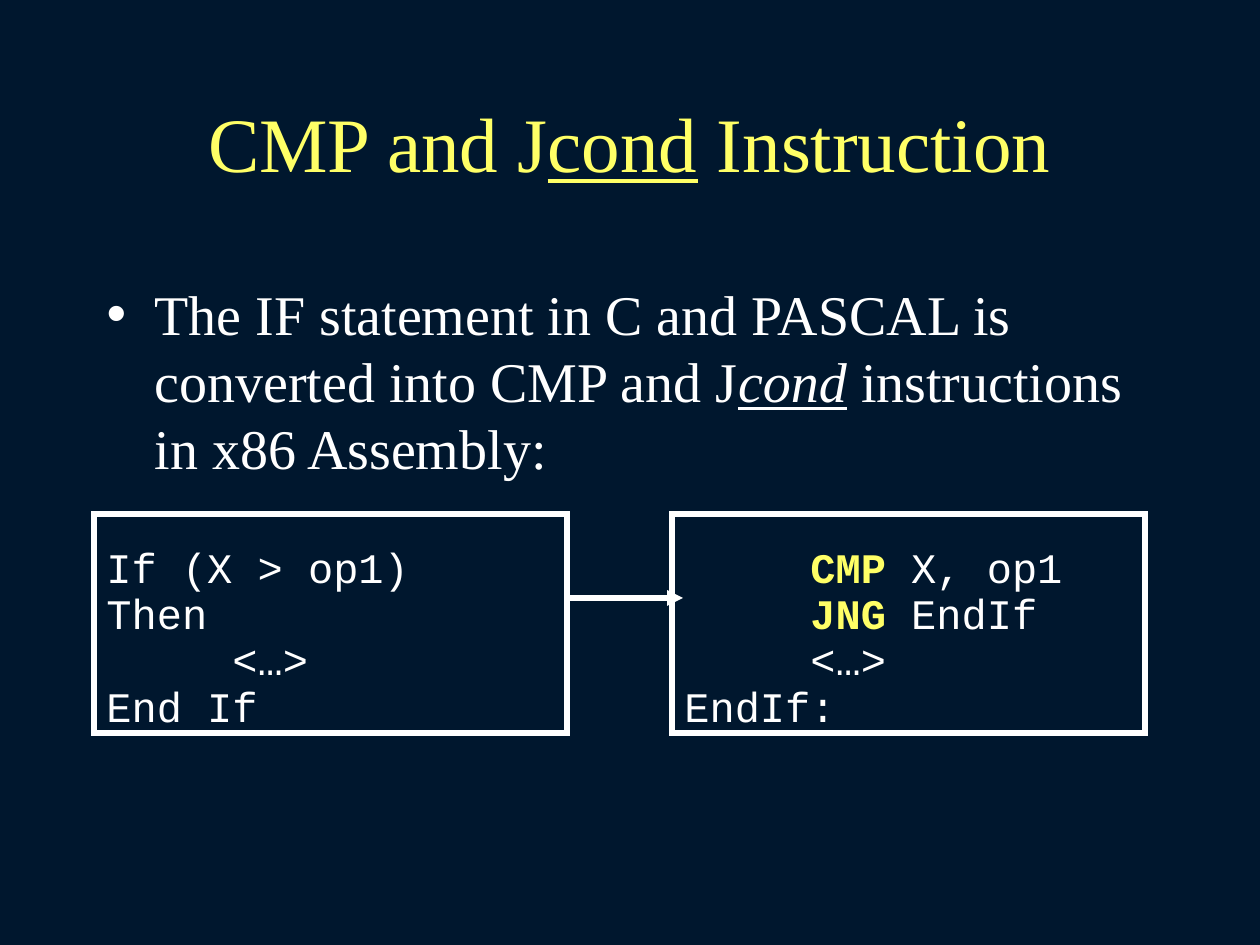
"""Build a slide on turning an IF statement into CMP and Jcond instructions."""
from dataclasses import dataclass

from lxml.etree import SubElement
from pptx import Presentation
from pptx.dml.color import RGBColor
from pptx.enum.shapes import MSO_CONNECTOR, MSO_SHAPE
from pptx.enum.text import MSO_ANCHOR, MSO_AUTO_SIZE, PP_ALIGN
from pptx.oxml.ns import qn
from pptx.util import Emu, Pt


@dataclass(frozen=True)
class Theme:
    background: RGBColor = RGBColor.from_string("00172E")
    accent: RGBColor = RGBColor.from_string("FFFF66")
    ink: RGBColor = RGBColor.from_string("FFFFFF")
    prose: str = "Times New Roman"
    mono: str = "Courier New"
    title: Pt = Pt(44)
    body: Pt = Pt(32)
    code: Pt = Pt(24)
    stroke: Pt = Pt(3)


THEME = Theme()
PX = 914400 // 126

KEYWORD = {"bold": True, "color": THEME.accent}
TITLE = [("CMP and J", {}), ("cond", {"underline": True}), (" Instruction", {})]
STATEMENT = [
    ("The IF statement in C and PASCAL is converted into CMP and J", {}),
    ("cond", {"italic": True, "underline": True}),
    (" instructions in x86 Assembly:", {}),
]
LISTINGS = [
    [[("If (X > op1)", {})], [("Then", {})], [("\t<…>", {})], [("End If", {})]],
    [
        [("\t", {}), ("CMP", KEYWORD), (" X, op1", {})],
        [("\t", {}), ("JNG", KEYWORD), (" EndIf", {})],
        [("\t<…>", {})],
        [("EndIf:", {})],
    ],
]

TITLE_BOX = (94, 84, 1071, 116)
BODY_BOX = (94, 273, 1071, 567)
LISTING_BOX = (94, 514, 473, 219)
LISTING_STEP = 578
LISTING_TOP_INSET = 53
LISTING_TAB = 126
ARROW_Y = 598
ARROW_OVERLAP = 11


def px(*lengths):
    return [Emu(length * PX) for length in lengths]


def set_all(target, values):
    for name, value in values.items():
        setattr(target, name, value)


def write(paragraph, runs, base):
    for text, changes in runs:
        run = paragraph.add_run()
        run.text = text
        style = {**base, **changes}
        run.font.color.rgb = style.pop("color")
        set_all(run.font, style)


def place(placeholder, box, anchor):
    set_all(placeholder, dict(zip(("left", "top", "width", "height"), px(*box))))
    set_all(placeholder.text_frame, {
        "word_wrap": True, "auto_size": MSO_AUTO_SIZE.NONE, "vertical_anchor": anchor,
    })
    return placeholder.text_frame.paragraphs[0]


def add_bullet(paragraph):
    properties = paragraph._p.get_or_add_pPr()
    left, hang = px(48, -48)
    properties.set("marL", str(left))
    properties.set("indent", str(hang))
    color = SubElement(properties, qn("a:buClr"))
    SubElement(color, qn("a:srgbClr"), val=str(THEME.ink))
    SubElement(properties, qn("a:buChar"), char="•")


def add_tab(paragraph):
    tabs = SubElement(paragraph._p.get_or_add_pPr(), qn("a:tabLst"))
    SubElement(tabs, qn("a:tab"), pos=str(LISTING_TAB * PX), algn="l")


def add_listing(slide, index, lines):
    left, top, width, height = LISTING_BOX
    box = slide.shapes.add_shape(
        MSO_SHAPE.RECTANGLE, *px(left + index * LISTING_STEP, top, width, height))
    box.shadow.inherit = False
    box.fill.background()
    box.line.color.rgb = THEME.ink
    box.line.width = THEME.stroke
    SubElement(box.line._get_or_add_ln(), qn("a:miter"), lim="800000")
    frame = box.text_frame
    set_all(frame, {
        "word_wrap": True, "vertical_anchor": MSO_ANCHOR.TOP,
        "margin_top": Emu(LISTING_TOP_INSET * PX),
    })
    for number, runs in enumerate(lines):
        paragraph = frame.add_paragraph() if number else frame.paragraphs[0]
        set_all(paragraph, {
            "alignment": PP_ALIGN.LEFT, "line_spacing": 0.4,
            "space_before": Pt(15 if number else 0),
        })
        add_tab(paragraph)
        write(paragraph, runs, {"name": THEME.mono, "size": THEME.code, "color": THEME.ink})


def add_arrow(slide):
    left, _, width, _ = LISTING_BOX
    start, end = left + width, left + LISTING_STEP + ARROW_OVERLAP
    arrow = slide.shapes.add_connector(
        MSO_CONNECTOR.STRAIGHT, *px(start, ARROW_Y, end, ARROW_Y))
    arrow.line.color.rgb = THEME.ink
    arrow.line.width = THEME.stroke
    SubElement(arrow.line._get_or_add_ln(), qn("a:tailEnd"), type="triangle")
    SubElement(arrow._element.spPr, qn("a:effectLst"))


def main():
    presentation = Presentation()
    set_all(presentation, dict(zip(("slide_width", "slide_height"), px(1260, 945))))
    slide = presentation.slides.add_slide(presentation.slide_layouts[1])
    slide.background.fill.solid()
    slide.background.fill.fore_color.rgb = THEME.background

    heading = place(slide.shapes.title, TITLE_BOX, MSO_ANCHOR.MIDDLE)
    heading.alignment = PP_ALIGN.CENTER
    write(heading, TITLE, {"name": THEME.prose, "size": THEME.title, "color": THEME.accent})

    statement = place(slide.placeholders[1], BODY_BOX, MSO_ANCHOR.TOP)
    statement.space_before = Pt(0)
    add_bullet(statement)
    write(statement, STATEMENT, {"name": THEME.prose, "size": THEME.body, "color": THEME.ink})

    for index, lines in enumerate(LISTINGS):
        add_listing(slide, index, lines)
    add_arrow(slide)
    presentation.save("out.pptx")


if __name__ == "__main__":
    main()
